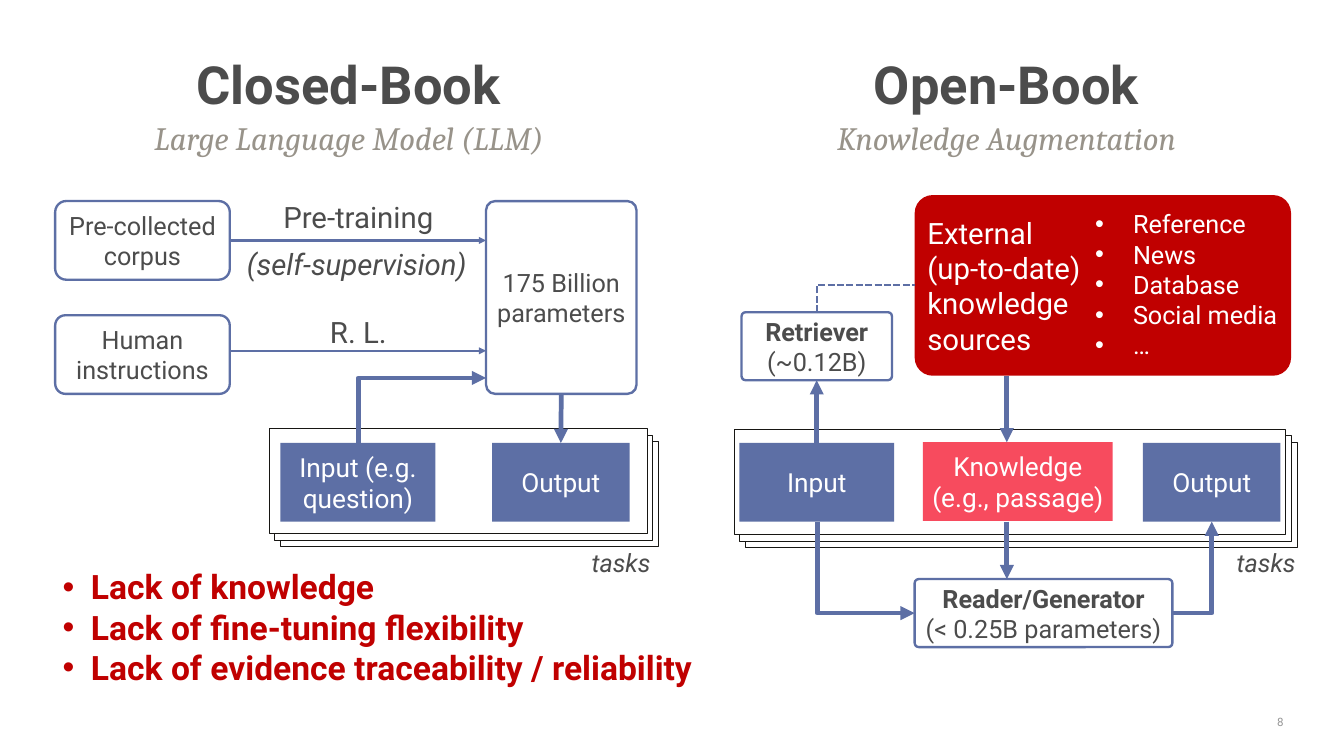
from dataclasses import dataclass, field

import pptx
import pptx.dml.color
import pptx.enum.dml
import pptx.enum.shapes
import pptx.enum.text
import pptx.oxml
import pptx.oxml.ns
import pptx.util

ALIGN = pptx.enum.text.PP_ALIGN
ANCHOR = pptx.enum.text.MSO_ANCHOR
SHAPE = pptx.enum.shapes.MSO_SHAPE
CONNECTOR = pptx.enum.shapes.MSO_CONNECTOR
TOP, RIGHT, BOTTOM = 0, 3, 2

# The slide is a grid of square cells, 177.8 columns by 100 rows.
COLUMNS, ROWS = 177.8, 100
CELL = pptx.util.Inches(0.1)


@dataclass(frozen=True)
class Theme:
    sans: str = "Roboto"
    serif: str = "Cambria"
    ink: str = "4C4C4C"
    muted: str = "98938A"
    pale: str = "969696"
    blue: str = "5D6FA5"
    red: str = "C00000"
    pink: str = "F74B5E"
    white: str = "FFFFFF"
    black: str = "171613"
    title: int = 50
    claim: int = 32
    subtitle: int = 31
    label: int = 28
    task: int = 25
    body: int = 24
    number: int = 11
    thin: float = 0.75
    medium: float = 2.25
    thick: float = 4.5


THEME = Theme()


@dataclass(frozen=True)
class TextStyle:
    size: int = THEME.body
    color: str = THEME.ink
    font: str = THEME.sans
    bold: bool = False
    italic: bool = False
    bold_first: bool = False
    align: ALIGN = ALIGN.CENTER
    anchor: ANCHOR = ANCHOR.MIDDLE
    spacing: float = 1.0
    indent: float = 0  # hanging indent in cells; bullets show when above zero
    insets: tuple = (1, 0.5)


@dataclass(frozen=True)
class Box:
    left: float
    top: float
    width: float
    height: float
    lines: tuple = ()
    style: TextStyle = field(default_factory=TextStyle)
    fill: str = ""
    line: str = ""
    weight: float = THEME.medium
    corner: float = 0


@dataclass(frozen=True)
class Arrow:
    start: tuple
    end: tuple
    weight: float = THEME.thick
    start_join: tuple = ()  # box name and side
    end_join: tuple = ()


@dataclass(frozen=True)
class Elbow:
    start: tuple
    end: tuple
    vertical_first: bool = True
    weight: float = THEME.thick
    dashed: bool = False


def cells(count: float) -> int:
    return round(count * CELL)


def rgb(color: str) -> pptx.dml.color.RGBColor:
    return pptx.dml.color.RGBColor.from_string(color)


def add_child(parent, tag: str, **attributes):
    child = pptx.oxml.parse_xml(f"<{tag} {pptx.oxml.ns.nsdecls('a')}/>")
    for name, value in attributes.items():
        child.set(name, str(value))
    parent.append(child)


def write_text(shape, lines: tuple, style: TextStyle):
    frame = shape.text_frame
    frame.word_wrap = True
    frame.vertical_anchor = style.anchor
    frame.margin_left = frame.margin_right = cells(style.insets[0])
    frame.margin_top = frame.margin_bottom = cells(style.insets[1])
    for index, text in enumerate(lines):
        paragraph = frame.paragraphs[0] if index == 0 else frame.add_paragraph()
        paragraph.alignment = style.align
        paragraph.line_spacing = style.spacing
        if style.indent:
            properties = paragraph._p.get_or_add_pPr()
            properties.set("marL", str(cells(style.indent)))
            properties.set("indent", str(-cells(style.indent)))
            add_child(properties, "a:buFont", typeface="Arial")
            add_child(properties, "a:buChar", char="•")
        run = paragraph.add_run()
        run.text = text
        run.font.name = style.font
        run.font.size = pptx.util.Pt(style.size)
        run.font.bold = style.bold or (style.bold_first and index == 0)
        run.font.italic = style.italic
        run.font.color.rgb = rgb(style.color)


def draw_box(slide, box: Box):
    place = [cells(n) for n in (box.left, box.top, box.width, box.height)]
    if not box.fill and not box.line:
        shape = slide.shapes.add_textbox(*place)
    else:
        kind = SHAPE.ROUNDED_RECTANGLE if box.corner else SHAPE.RECTANGLE
        shape = slide.shapes.add_shape(kind, *place)
        shape.shadow.inherit = False
        if box.corner:
            shape.adjustments[0] = box.corner
        if box.fill:
            shape.fill.solid()
            shape.fill.fore_color.rgb = rgb(box.fill)
        else:
            shape.fill.background()
        if box.line:
            shape.line.color.rgb = rgb(box.line)
            shape.line.width = pptx.util.Pt(box.weight)
        else:
            shape.line.fill.background()
    if box.lines:
        write_text(shape, box.lines, box.style)
    return shape


def draw_stack(slide, left: float, top: float, width: float):
    """Three offset sheets, the front one at left and top."""
    for step in (2, 1, 0):
        draw_box(slide, Box(left + 0.75 * step, top + 0.85 * step, width, 13.9,
                            fill=THEME.white, line=THEME.black, weight=THEME.thin))


def finish_line(connector, weight: float, dashed: bool = False):
    connector.line.color.rgb = rgb(THEME.blue)
    connector.line.width = pptx.util.Pt(weight)
    if dashed:
        connector.line.dash_style = pptx.enum.dml.MSO_LINE.SQUARE_DOT
    else:
        add_child(connector.line._get_or_add_ln(), "a:tailEnd", type="triangle")
    add_child(connector._element.spPr, "a:effectLst")


def draw_arrow(slide, arrow: Arrow, shapes: dict):
    ends = [cells(n) for n in (*arrow.start, *arrow.end)]
    connector = slide.shapes.add_connector(CONNECTOR.STRAIGHT, *ends)
    if arrow.start_join:
        connector.begin_connect(shapes[arrow.start_join[0]], arrow.start_join[1])
    if arrow.end_join:
        connector.end_connect(shapes[arrow.end_join[0]], arrow.end_join[1])
    finish_line(connector, arrow.weight)


def draw_elbow(slide, elbow: Elbow):
    (x1, y1), (x2, y2) = elbow.start, elbow.end
    connector = slide.shapes.add_connector(
        CONNECTOR.ELBOW, *[cells(n) for n in (x1, y1, x2, y2)])
    connector._element.spPr.find(pptx.oxml.ns.qn("a:prstGeom")).set("prst", "bentConnector2")
    if elbow.vertical_first:  # a quarter turn about the centre
        width, height = abs(y2 - y1), abs(x2 - x1)
        connector.left = cells((x1 + x2 - width) / 2)
        connector.top = cells((y1 + y2 - height) / 2)
        connector.width, connector.height = cells(width), cells(height)
        upward = y2 < y1
        frame = connector._element.spPr.xfrm
        frame.set("rot", str((90 if upward else 270) * 60000))
        frame.set("flipH", "1")
        frame.set("flipV", "1" if upward == (x2 > x1) else "0")
    finish_line(connector, elbow.weight, elbow.dashed)


# Text styles
TITLE = TextStyle(THEME.title, bold=True, spacing=0.8, insets=(1.6, 0.8))
SUBTITLE = TextStyle(THEME.subtitle, THEME.muted, THEME.serif, italic=True,
                     anchor=ANCHOR.TOP, spacing=0.9, insets=(1.6, 0.8))
MODEL = TextStyle(bold_first=True)
TASK = TextStyle(THEME.task, THEME.white)
LABEL = TextStyle(THEME.label, anchor=ANCHOR.TOP)
LABEL_ITALIC = TextStyle(THEME.label, anchor=ANCHOR.TOP, italic=True)
TASKS = TextStyle(italic=True, anchor=ANCHOR.TOP)
SOURCE = TextStyle(THEME.label, THEME.white, align=ALIGN.LEFT)
SOURCE_LIST = TextStyle(THEME.body, THEME.white, align=ALIGN.LEFT, anchor=ANCHOR.TOP, indent=5)
CLAIMS = TextStyle(THEME.claim, THEME.red, bold=True, align=ALIGN.LEFT,
                   anchor=ANCHOR.TOP, indent=3.75)
NUMBER = TextStyle(THEME.number, THEME.pale, align=ALIGN.RIGHT, insets=(1.6, 0.8))


def outlined(left, top, width, height, lines, corner=0.06, style=TextStyle()) -> Box:
    return Box(left, top, width, height, lines, style, line=THEME.blue, corner=corner)


def task(left, width, lines, top=58.6, fill=THEME.blue) -> Box:
    return Box(left, top, width, 10.4, lines, TASK, fill=fill)


BOXES = {
    # Closed-book side
    "corpus": outlined(7.3, 26.6, 23.1, 10.4, ("Pre-collected corpus",), 0.14),
    "model": outlined(64.3, 26.6, 19.9, 25.5, ("175 Billion parameters",)),
    "instructions": outlined(7.3, 41.7, 23.1, 10.4, ("Human instructions",), 0.13),
    "pre-training": Box(32.1, 25.9, 30.6, 5.7, ("Pre-training",), LABEL),
    "supervision": Box(27.5, 32.1, 39.4, 5.7, ("(self-supervision)",), LABEL_ITALIC),
    "reinforcement": Box(32.1, 41.1, 30.6, 5.7, ("R. L.",), LABEL),
    "question": task(37.1, 20.5, ("Input (e.g. question)",)),
    "answer": task(65.1, 18.2, ("Output",)),
    # Open-book side
    "sources": Box(121, 25.8, 49.8, 23.9, ("External", "(up-to-date)", "knowledge", "sources"),
                   SOURCE, fill=THEME.red, corner=0.1),
    "source list": Box(143.9, 27.1, 26.9, 21.2,
                       ("Reference", "News", "Database", "Social media", "…"), SOURCE_LIST),
    "input": task(97.8, 20.5, ("Input",)),
    "output": task(151.2, 18.2, ("Output",)),
    "retriever": outlined(98.1, 41.3, 19.9, 9, ("Retriever", "(~0.12B)"), style=MODEL),
    "knowledge": task(122.1, 25.1, ("Knowledge", "(e.g., passage)"), 58.5, THEME.pink),
    "reader": outlined(121, 76.6, 34.1, 9, ("Reader/Generator", "(< 0.25B parameters)"),
                       style=MODEL),
    # Notes below the diagrams
    "claims": Box(7.3, 74.4, 90.5, 17.2,
                  ("Lack of knowledge", "Lack of fine-tuning flexibility",
                   "Lack of evidence traceability / reliability"), CLAIMS),
    "closed tasks": Box(77.2, 71.9, 9.9, 5, ("tasks",), TASKS),
    "open tasks": Box(160.3, 71.9, 14.4, 5, ("tasks",), TASKS),
    "slide number": Box(165.3, 94.2, 6.1, 2.6, ("8",), NUMBER),
}

ARROWS = (
    Arrow((30.4, 31.8), (64.3, 31.8), THEME.medium, ("corpus", RIGHT)),
    Arrow((30.4, 46.4), (64.3, 46.4), THEME.medium),
    Arrow((74.2, 52.1), (74.2, 58.6), THEME.thick, ("model", BOTTOM), ("answer", TOP)),
    Arrow((108.1, 58.6), (108.1, 50.3), THEME.thick, ("input", TOP), ("retriever", BOTTOM)),
    Arrow((133.2, 49.7), (133.2, 58.5)),
    Arrow((133.2, 69), (133.2, 76.6)),
)

ELBOWS = (
    Elbow((47.4, 58.6), (64.3, 50)),
    Elbow((108.1, 41.3), (121, 37.7), weight=THEME.medium, dashed=True),
    Elbow((108.1, 69), (121, 81.1)),
    Elbow((155.1, 81.1), (160.3, 69), vertical_first=False),
)


def main():
    presentation = pptx.Presentation()
    presentation.slide_width = cells(COLUMNS)
    presentation.slide_height = cells(ROWS)
    slide = presentation.slides.add_slide(presentation.slide_layouts[6])

    # Sheets behind the tasks
    draw_stack(slide, 97.1, 56.8, 73)
    draw_stack(slide, 35.6, 56.7, 50)

    # Headings
    for left, title, subtitle in ((8.9, "Closed-Book", "Large Language Model (LLM)"),
                                  (95.9, "Open-Book", "Knowledge Augmentation")):
        draw_box(slide, Box(left, 15.4, 74.5, 5.6, (subtitle,), SUBTITLE))
        draw_box(slide, Box(left, 8.4, 74.5, 6.8, (title,), TITLE))

    # Diagrams and notes
    shapes = {name: draw_box(slide, box) for name, box in BOXES.items()}
    for arrow in ARROWS:
        draw_arrow(slide, arrow, shapes)
    for elbow in ELBOWS:
        draw_elbow(slide, elbow)

    presentation.save("out.pptx")


if __name__ == "__main__":
    main()
